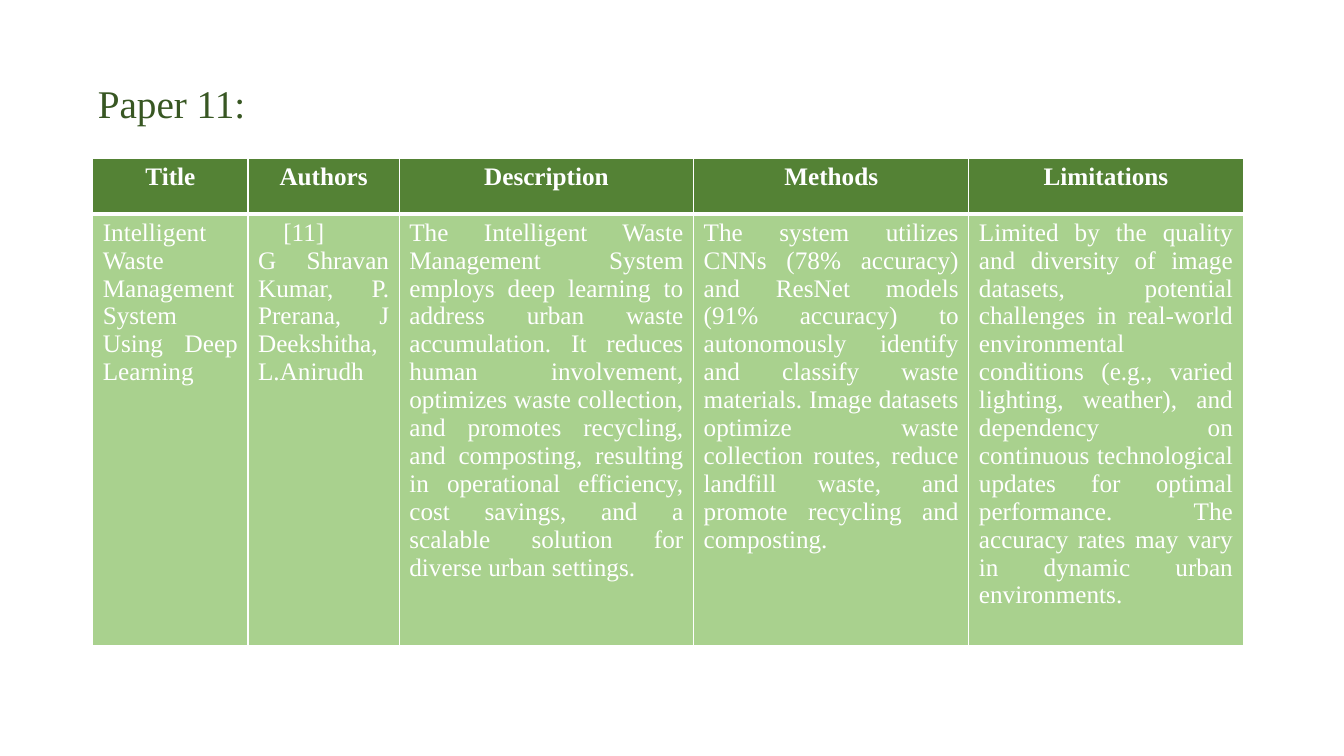
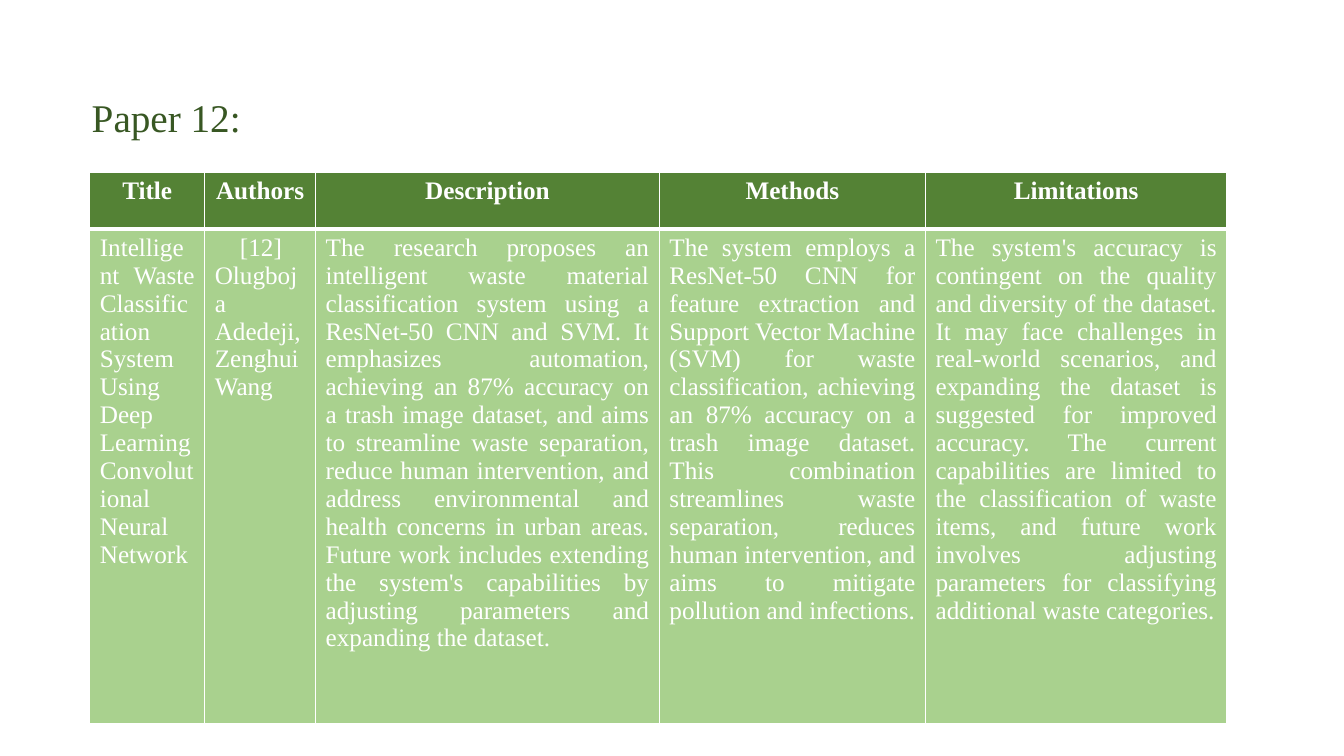
"""Builds two literature-review slides, each with a heading and a paper table."""
from dataclasses import dataclass

from lxml import etree
from pptx import Presentation
from pptx.dml.color import RGBColor
from pptx.enum.text import MSO_ANCHOR, MSO_AUTO_SIZE, PP_ALIGN
from pptx.oxml.ns import qn
from pptx.util import Inches, Pt

LEFT, CENTER, JUSTIFY = PP_ALIGN.LEFT, PP_ALIGN.CENTER, PP_ALIGN.JUSTIFY
TOP, NO_FIT = MSO_ANCHOR.TOP, MSO_AUTO_SIZE.NONE
TITLE_ONLY = 5


@dataclass(frozen=True)
class Theme:
    """Colours, font, type sizes and rule widths shared by the slides."""
    font: str = "Times New Roman"
    title: str = "385723"
    header: str = "548235"
    body: str = "A9D18E"
    light: str = "FFFFFF"
    title_size: int = 28
    text_size: int = 18
    thin: int = 1
    thick: int = 3
    indent: float = 0.25


THEME = Theme()
HEADERS = ["Title", "Authors", "Description", "Methods", "Limitations"]
PAPERS = [
    {
        "heading": "Paper 11:",
        "title_at": (0.87, 0.74),
        "table_at": (0.92, 1.57),
        "cols": [1.54, 1.5, 2.92, 2.73, 2.72],
        "rows": [0.55, 4.28],
        "cells": [
            ["Intelligent Waste Management System Using Deep Learning"],
            ["[11]", "G Shravan Kumar, P. Prerana, J Deekshitha, L.Anirudh"],
            ["The Intelligent Waste Management System employs deep learning to "
             "address urban waste accumulation. It reduces human involvement, "
             "optimizes waste collection, and promotes recycling, and composting, "
             "resulting in operational efficiency, cost savings, and a scalable "
             "solution for diverse urban settings."],
            ["The system utilizes CNNs (78% accuracy) and ResNet models (91% "
             "accuracy) to autonomously identify and classify waste materials. "
             "Image datasets optimize waste collection routes, reduce landfill "
             "waste, and promote recycling and composting."],
            ["Limited by the quality and diversity of image datasets, potential "
             "challenges in real-world environmental conditions (e.g., varied "
             "lighting, weather), and dependency on continuous technological "
             "updates for optimal performance. The accuracy rates may vary in "
             "dynamic urban environments."],
        ],
    },
    {
        "heading": "Paper 12:",
        "title_at": (0.81, 0.88),
        "table_at": (0.89, 1.71),
        "cols": [1.14, 1.1, 3.41, 2.64, 2.99],
        "rows": [0.56, 4.91],
        "cells": [
            ["Intelligent Waste Classification System Using Deep Learning",
             "Convolutional Neural Network"],
            ["[12]", "Olugboja Adedeji, Zenghui Wang"],
            ["The research proposes an intelligent waste material classification "
             "system using a ResNet-50 CNN and SVM. It emphasizes automation, "
             "achieving an 87% accuracy on a trash image dataset, and aims to "
             "streamline waste separation, reduce human intervention, and address "
             "environmental and health concerns in urban areas. Future work "
             "includes extending the system's capabilities by adjusting "
             "parameters and expanding the dataset."],
            ["The system employs a ResNet-50 CNN for feature extraction and "
             "Support Vector Machine (SVM) for waste classification, achieving an "
             "87% accuracy on a trash image dataset. This combination streamlines "
             "waste separation, reduces human intervention, and aims to mitigate "
             "pollution and infections."],
            ["The system's accuracy is contingent on the quality and diversity of "
             "the dataset. It may face challenges in real-world scenarios, and "
             "expanding the dataset is suggested for improved accuracy. The "
             "current capabilities are limited to the classification of waste "
             "items, and future work involves adjusting parameters for "
             "classifying additional waste categories."],
        ],
    },
]


def style_text(tf, size, color, align, bold=False):
    for p in tf.paragraphs:
        p.alignment = align
        for r in p.runs:
            r.font.name = THEME.font
            r.font.size = Pt(size)
            r.font.bold = bold
            r.font.color.rgb = RGBColor.from_string(color)


def set_borders(cell, top, bottom):
    tc_pr = cell._tc.get_or_add_tcPr()
    widths = {"a:lnL": THEME.thin, "a:lnR": THEME.thin, "a:lnT": top, "a:lnB": bottom}
    for i, (tag, width) in enumerate(widths.items()):
        ln = etree.Element(qn(tag), w=str(Pt(width)))
        fill = etree.SubElement(ln, qn("a:solidFill"))
        etree.SubElement(fill, qn("a:srgbClr"), val=THEME.light)
        tc_pr.insert(i, ln)


def fill_cell(cell, lines, is_header):
    cell.text_frame.text = "\n".join(lines)
    style_text(cell.text_frame, THEME.text_size, THEME.light,
               CENTER if is_header else JUSTIFY, is_header)
    for p in cell.text_frame.paragraphs:
        if p.text.startswith("["):
            p._p.get_or_add_pPr().set("marL", str(Inches(THEME.indent)))
    cell.fill.solid()
    cell.fill.fore_color.rgb = RGBColor.from_string(
        THEME.header if is_header else THEME.body)
    if is_header:
        set_borders(cell, THEME.thin, THEME.thick)
    else:
        set_borders(cell, THEME.thick, THEME.thin)


def add_title(s, paper):
    title = s.shapes.title
    title.left, title.top = map(Inches, paper["title_at"])
    title.width, title.height = Inches(11.5), Inches(0.7)
    tf = title.text_frame
    tf.text = paper["heading"]
    tf.vertical_anchor, tf.auto_size = TOP, NO_FIT
    style_text(tf, THEME.title_size, THEME.title, LEFT)


def add_paper_table(s, paper):
    cols, rows = paper["cols"], paper["rows"]
    x, y = paper["table_at"]
    table = s.shapes.add_table(len(rows), len(cols), Inches(x), Inches(y),
                               Inches(sum(cols)), Inches(sum(rows))).table
    table.horz_banding = False
    for col, width in zip(table.columns, cols):
        col.width = Inches(width)
    for row, height in zip(table.rows, rows):
        row.height = Inches(height)
    for c, (header, lines) in enumerate(zip(HEADERS, paper["cells"])):
        fill_cell(table.cell(0, c), [header], True)
        fill_cell(table.cell(1, c), lines, False)


def main():
    prs = Presentation()
    prs.slide_width, prs.slide_height = Inches(13.33), Inches(7.5)
    for paper in PAPERS:
        s = prs.slides.add_slide(prs.slide_layouts[TITLE_ONLY])
        add_title(s, paper)
        add_paper_table(s, paper)
    prs.save("out.pptx")


if __name__ == "__main__":
    main()
